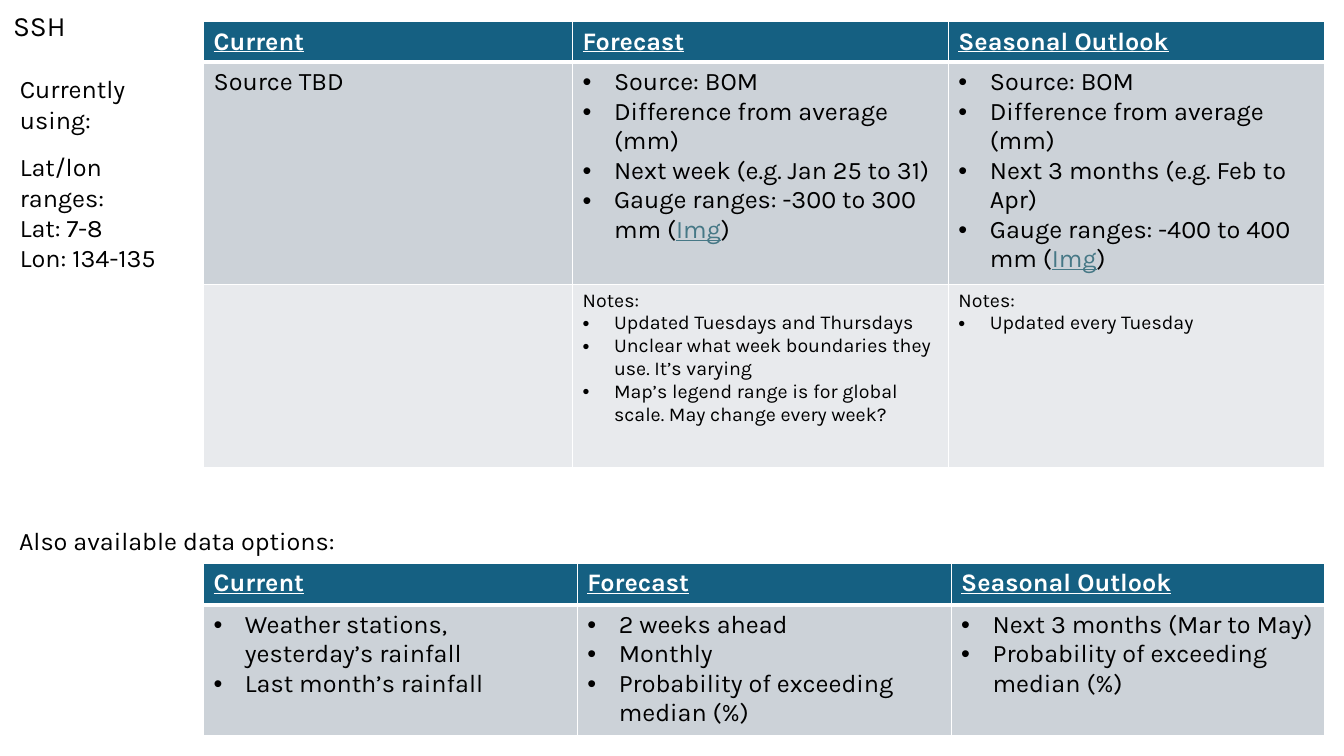
import pptx
import pptx.dml.color
import pptx.oxml.ns
import pptx.util
from lxml import etree

Cm = pptx.util.Cm
Pt = pptx.util.Pt
RGBColor = pptx.dml.color.RGBColor
qn = pptx.oxml.ns.qn

BLACK = RGBColor(0x00, 0x00, 0x00)
WHITE = RGBColor(0xFF, 0xFF, 0xFF)
HEADER_BLUE = RGBColor(0x15, 0x60, 0x82)
BAND_DARK = RGBColor(0xCC, 0xD2, 0xD8)
BAND_LIGHT = RGBColor(0xE8, 0xEA, 0xED)
LINK_BLUE = RGBColor(0x46, 0x78, 0x86)

BULLET = "• "
LINK_WORD = "Img"
HANGING = Cm(0.79)

HEADER = {"size": Pt(18), "bold": True, "underline": True}
BODY = {"size": Pt(18), "bold": False, "underline": False}
NOTE = {"size": Pt(14), "bold": False, "underline": False}
TITLE = {"size": Pt(20), "bold": False, "underline": False}


def write_lines(frame, lines, style, color):
    """Fill a text frame; lines that start with the bullet become list items."""
    for number, line in enumerate(lines):
        para = frame.paragraphs[0] if number == 0 else frame.add_paragraph()
        if line.startswith(BULLET):
            properties = para._p.get_or_add_pPr()
            properties.set("marL", str(HANGING))
            properties.set("indent", str(-HANGING))
            etree.SubElement(properties, qn("a:buFont")).set("typeface", "Arial")
            etree.SubElement(properties, qn("a:buChar")).set("char", BULLET.strip())
        for text in line.removeprefix(BULLET).partition(LINK_WORD):
            if not text:
                continue
            span = para.add_run()
            span.text = text
            span.font.name = "Karla"
            for name, value in style.items():
                setattr(span.font, name, value)
            span.font.color.rgb = color
            if text == LINK_WORD:
                span.font.underline = True
                span.font.color.rgb = LINK_BLUE


def draw_borders(cell, top, bottom):
    """White borders, given in points; they go ahead of the cell fill."""
    properties = cell._tc.get_or_add_tcPr()
    widths = {"a:lnL": 1, "a:lnR": 1, "a:lnT": top, "a:lnB": bottom}
    for position, (side, width) in enumerate(widths.items()):
        line = etree.Element(qn(side), w=str(Pt(width)))
        fill = etree.SubElement(line, qn("a:solidFill"))
        etree.SubElement(fill, qn("a:srgbClr")).set("val", str(WHITE))
        properties.insert(position, line)


deck = pptx.Presentation()
deck.slide_width = Cm(33.87)
deck.slide_height = Cm(19.05)
page = deck.slides.add_slide(deck.slide_layouts[6])

# Labels: left, top, width, height, lines, style
labels = [
    (0.08, 0.08, 1.83, 1.12, ["SSH"], TITLE),
    (0.25, 1.73, 4.75, 1.8, ["Currently using:"], BODY),
    (0.25, 3.7, 4.62, 3.3, ["Lat/lon ranges:", "Lat: 7-8", "Lon: 134-135"], BODY),
    (0.23, 13.11, 9.8, 1.02, ["Also available data options:"], BODY),
]
for left, top, width, height, lines, style in labels:
    box = page.shapes.add_textbox(Cm(left), Cm(top), Cm(width), Cm(height))
    box.text_frame.word_wrap = True
    write_lines(box.text_frame, lines, style, BLACK)

# Table contents
headings = [["Current"], ["Forecast"], ["Seasonal Outlook"]]
sources = [
    ["Source TBD"],
    ["• Source: BOM", "• Difference from average (mm)",
     "• Next week (e.g. Jan 25 to 31)", "• Gauge ranges: -300 to 300 mm (Img)"],
    ["• Source: BOM", "• Difference from average (mm)",
     "• Next 3 months (e.g. Feb to Apr)", "• Gauge ranges: -400 to 400 mm (Img)"],
]
notes = [
    [],
    ["Notes:", "• Updated Tuesdays and Thursdays",
     "• Unclear what week boundaries they use. It’s varying",
     "• Map’s legend range is for global scale. May change every week?"],
    ["Notes:", "• Updated every Tuesday"],
]
options = [
    ["• Weather stations, yesterday’s rainfall", "• Last month’s rainfall"],
    ["• 2 weeks ahead", "• Monthly", "• Probability of exceeding median (%)"],
    ["• Next 3 months (Mar to May)", "• Probability of exceeding median (%)"],
]

# Look of each table row: style, text colour, fill
row_looks = [
    (HEADER, WHITE, HEADER_BLUE),
    (BODY, BLACK, BAND_DARK),
    (NOTE, BLACK, BAND_LIGHT),
]

# Tables: top, column widths, row heights, rows
tables = [
    (0.55, [9.3, 9.47, 9.47], [1.02, 5.56, 4.62], [headings, sources, notes]),
    (14.2, [9.42, 9.42, 9.42], [1.04, 3.28], [headings, options]),
]
for top, widths, heights, rows in tables:
    table = page.shapes.add_table(
        len(rows), len(widths), Cm(5.13), Cm(top), Cm(sum(widths)), Cm(sum(heights))
    ).table
    for column, width in zip(table.columns, widths):
        column.width = Cm(width)
    for row, height in zip(table.rows, heights):
        row.height = Cm(height)
    for row_number, (contents, look) in enumerate(zip(rows, row_looks)):
        style, color, fill = look
        for column_number, lines in enumerate(contents):
            cell = table.cell(row_number, column_number)
            cell.fill.solid()
            cell.fill.fore_color.rgb = fill
            draw_borders(cell, 3 if row_number == 1 else 1, 3 if row_number == 0 else 1)
            write_lines(cell.text_frame, lines, style, color)

deck.save("out.pptx")
